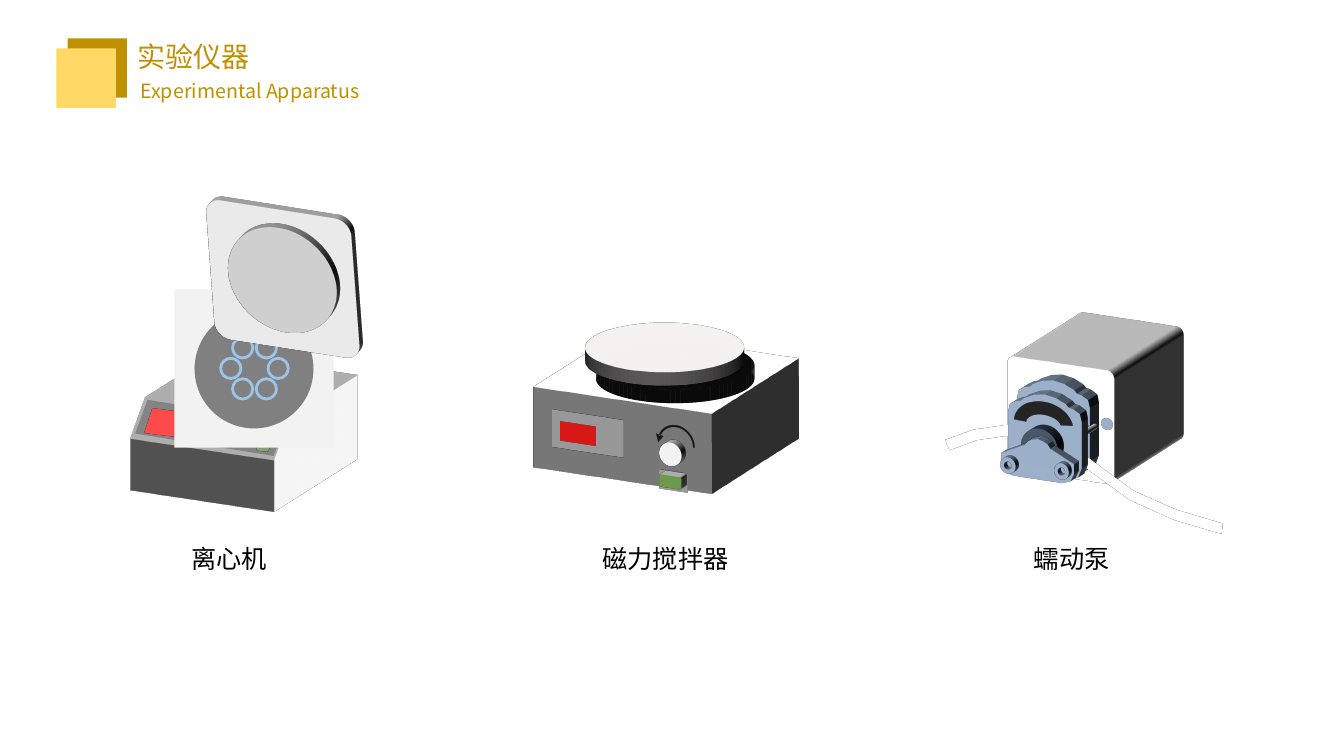
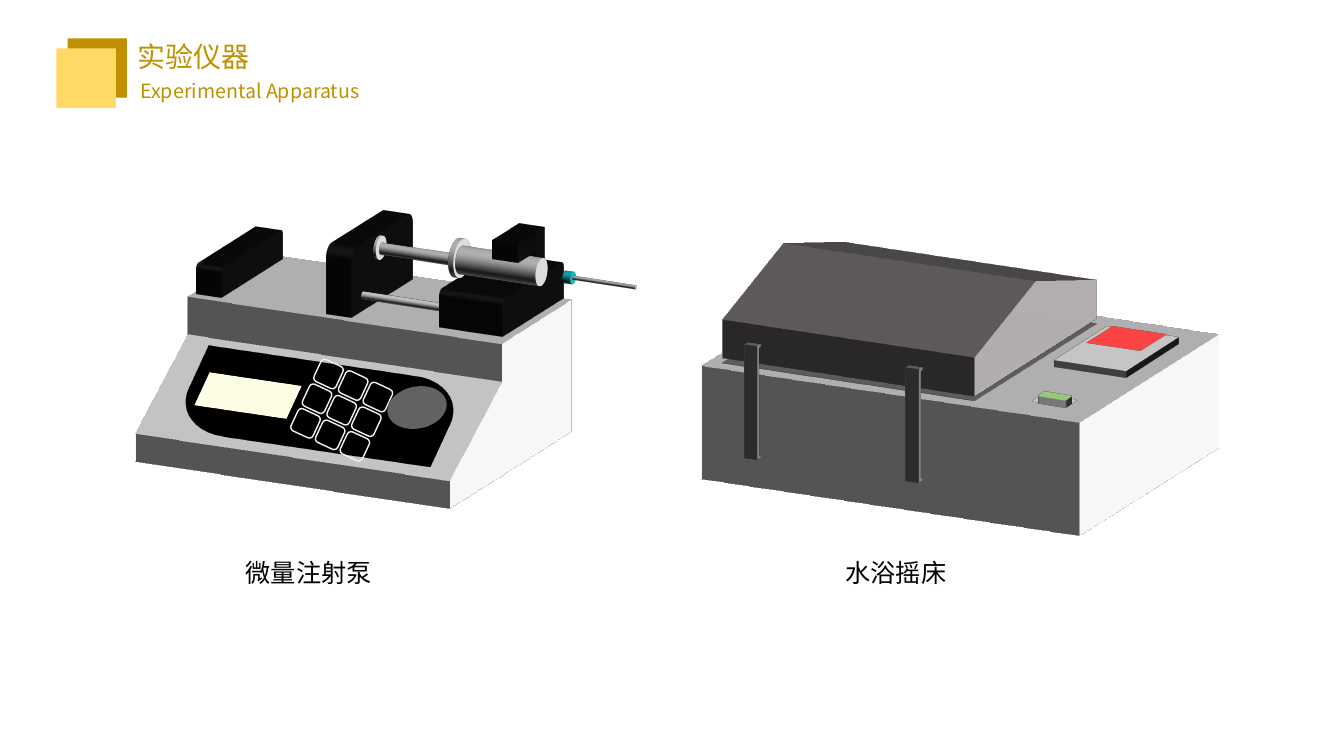
from dataclasses import dataclass
from math import cos, pi, sin
from typing import Any

from lxml.etree import SubElement
from pptx import Presentation
from pptx.dml.color import RGBColor
from pptx.enum.shapes import MSO_SHAPE
from pptx.enum.text import MSO_ANCHOR, MSO_AUTO_SIZE, PP_ALIGN
from pptx.oxml.ns import qn
from pptx.util import Emu, Inches, Pt

# Slide grid: square cells, 100 to the inch
CELL = 9144
WIDTH, HEIGHT = 12192000, 6858000
RECTANGLE, ELLIPSE, ROUNDED = MSO_SHAPE.RECTANGLE, MSO_SHAPE.OVAL, MSO_SHAPE.ROUNDED_RECTANGLE
TAB = MSO_SHAPE.ROUND_2_SAME_RECTANGLE

COLORS = {
    "gold": "BF9000", "yellow": "FFD966", "text": "000000", "white": "FFFFFF",
    "paper": "F2F2F2", "light": "D9D9D9", "silver": "BFBFBF", "needle": "D0CECE",
    "metal": "AFABAB", "lid side": "767171", "panel": "848484", "gray": "808080",
    "coal": "262626", "black": "0D0D0D", "red": "C00000", "display": "C70000",
    "green": "548235", "forest": "385723", "lime": "A9D18E", "button": "5B9BD5",
    "blue": "8497B0", "navy": "333F50", "sky": "9DC3E6", "cyan": "09BEC7",
}

# Views: a preset camera, with latitude, longitude and revolution if turned by hand
FRONT = ("isometricOffAxis2Left", None)
SIDE = ("isometricOffAxis2Right", None)
TOP = ("isometricOffAxis2Top", None)
OPEN_LID = ("orthographicFront", (28.7, 26, 4.25))
DESK = ("orthographicFront", (337, 26, 342))
KEYBOARD = ("orthographicFront", (320, 25, 335))


def color_of(name):
    return RGBColor.from_string(COLORS[name])


def paint(shape, fill=None, line=None, weight=1):
    shape.shadow.inherit = False
    if fill is None:
        shape.fill.background()
    else:
        shape.fill.solid()
        shape.fill.fore_color.rgb = color_of(fill)
    if line is None:
        shape.line.fill.background()
    else:
        shape.line.color.rgb = color_of(line)
        shape.line.width = Pt(weight)
    return shape


def turn(shape, view, depth=0, lift=0, side=None):
    """Show a shape in a 3D view; depth and lift are in points."""
    properties = shape._element.spPr
    preset, angles = view
    scene = SubElement(properties, qn("a:scene3d"))
    camera = SubElement(scene, qn("a:camera"), prst=preset)
    if angles:
        names = ("lat", "lon", "rev")
        SubElement(camera, qn("a:rot"),
                   {name: str(round(angle * 60000)) for name, angle in zip(names, angles)})
    SubElement(scene, qn("a:lightRig"), rig="threePt", dir="t")
    solid = SubElement(properties, qn("a:sp3d"), z=str(Pt(lift)), extrusionH=str(Pt(depth)))
    if side:
        SubElement(SubElement(solid, qn("a:extrusionClr")), qn("a:srgbClr"), val=COLORS[side])
    return shape


def cast_shadow(shape, blur, distance, angle, opacity):
    effects = shape._element.spPr.find(qn("a:effectLst"))
    shadow = SubElement(effects, qn("a:outerShdw"), blurRad=str(Pt(blur)),
                        dist=str(Pt(distance)), dir=str(angle * 60000))
    tint = SubElement(shadow, qn("a:srgbClr"), val=COLORS["text"])
    SubElement(tint, qn("a:alpha"), val=str(opacity * 1000))


def circle(x, y, radius, steps=24):
    turns = [2 * pi * i / steps for i in range(steps)]
    return [(x + radius * cos(t), y + radius * sin(t)) for t in turns]


def mirrored(center, top, half):
    """A closed outline from its right half, given from the top downwards."""
    right = [(center + x, top + y) for x, y in half]
    left = [(center - x, top + y) for x, y in reversed(half) if x]
    return right + left


@dataclass
class Drawing:
    """A group of shapes, measured in cells from the corner of its box."""
    shapes: Any
    left: int
    top: int

    def place(self, x, y):
        return round((self.left + x) * CELL), round((self.top + y) * CELL)

    def preset(self, kind, x, y, width, height, *style):
        size = [Emu(round(side * CELL)) for side in (width, height)]
        return paint(self.shapes.add_shape(kind, *self.place(x, y), *size), *style)

    def outline(self, contours, *style, close=True):
        builder = None
        for contour in contours:
            points = [self.place(*point) for point in contour]
            if builder is None:
                builder = self.shapes.build_freeform(*points[0], scale=1.0)
            else:
                builder.move_to(*points[0])
            builder.add_line_segments(points[1:], close=close)
        return paint(builder.convert_to_shape(), *style)

    def inner_group(self):
        group = self.shapes.add_group_shape()
        return group, Drawing(group.shapes, self.left, self.top)


def draw_stirrer(drawing):
    # Housing and heating plate
    turn(drawing.preset(RECTANGLE, 18, 5, 197, 197, "paper"), TOP, 60)
    plate = drawing.preset(ELLIPSE, 37, 0, 157, 157, "metal")
    cast_shadow(plate, 9, 15, 60, 80)
    turn(plate, TOP, 10)
    # Controls
    turn(drawing.preset(RECTANGLE, 0, 145, 79, 39, "gray", "coal", 1), FRONT)
    turn(drawing.preset(ELLIPSE, 109, 173, 24, 24, "light"), FRONT, 7)
    arrow = drawing.preset(MSO_SHAPE.ARC, 107, 156, 39, 39, None, "text", 1.5)
    arrow.adjustments[0], arrow.adjustments[1] = 108.135, 0
    SubElement(arrow.line._get_or_add_ln(), qn("a:headEnd"), type="triangle")
    turn(arrow, FRONT)
    turn(drawing.preset(RECTANGLE, 109, 201, 31, 20, "gray"), FRONT)
    turn(drawing.preset(ROUNDED, 109, 206, 24, 12, "green", "paper"), FRONT, 9)
    turn(drawing.preset(RECTANGLE, 10, 154, 39, 20, "red", "paper"), FRONT)


def draw_centrifuge(drawing):
    # Body and control panel
    body = drawing.preset(MSO_SHAPE.SNIP_ROUND_RECTANGLE, 83, 198, 189, 87, "paper")
    body.adjustments[0], body.adjustments[1] = 0, 0.384
    body._element.spPr.xfrm.set("flipH", "1")
    turn(body, SIDE, 114)
    panel = drawing.preset(MSO_SHAPE.PARALLELOGRAM, 0, 209, 146, 35, "panel")
    panel.adjustments[0], panel.rotation = 0.194, 9.2
    turn(drawing.preset(RECTANGLE, 9, 209, 59, 28, "display", "white"), DESK)
    buttons = [(95, 214, "button"), (87, 234, "button"), (104, 225, "button"),
               (77, 221, "button"), (91, 224, "button"), (120, 238, "forest"),
               (125, 225, "red")]
    for x, y, fill in buttons:
        turn(drawing.preset(ROUNDED, x, y, 12, 12, fill, "white"), DESK)
    # Rotor with six tubes
    square = [(37, 89), (195, 89), (195, 246), (37, 246)]
    drawing.outline([circle(116, 167, 59), square], "paper")
    drawing.preset(ELLIPSE, 57, 109, 118, 118, "gray")
    tubes = [circle(x, y, 10, 16) for x, y in circle(116.5, 167.5, 23.5, 6)]
    drawing.outline(tubes, None, "sky", 2)
    # Open lid
    lid = drawing.preset(ROUNDED, 66, 0, 157, 157, "light")
    lid.adjustments[0] = 0.107
    turn(lid, OPEN_LID, 6)
    turn(drawing.preset(ELLIPSE, 85, 21, 118, 118, "silver"), OPEN_LID, 6)


def draw_peristaltic_pump(drawing):
    plate = [(0, 0), (12, 2), (23, 7), (26, 10), (31, 11), (38, 15), (40, 23)]
    foot = [(40, -14), (36, -4), (27, 0)]

    def plate_outline(top, height):
        return mirrored(120, top, plate + [(x, height + y) for x, y in foot])

    # Housing and rear plate
    housing = drawing.preset(ROUNDED, 61, 0, 118, 118, "white")
    housing.adjustments[0] = 0.068
    turn(housing, FRONT, 113, -12)
    turn(drawing.outline([plate_outline(14, 90)], "blue"), FRONT, 15)
    lower = mirrored(120, 61, [(40, 0), (40, 29), (36, 39), (27, 42)])
    turn(drawing.outline([lower], "blue"), FRONT, 15)
    # Tube
    tube = [(0, 100), (31, 85), (63, 76), (92, 71), (120, 76), (160, 100), (203, 123),
            (250, 136), (302, 143)]
    turn(drawing.outline([tube], None, "white", 8, close=False), FRONT)
    # Shaft ends and front plate
    turn(drawing.preset(ELLIPSE, 158, 58, 6, 6, "white"), FRONT, 18, 18)
    turn(drawing.preset(ELLIPSE, 162, 56, 12, 12, "blue"), FRONT, 0, -8)
    turn(drawing.outline([plate_outline(22, 85)], "blue"), FRONT, 10, 14)
    turn(drawing.preset(ELLIPSE, 100, 54, 39, 39, "navy"), FRONT, 10, 22)
    window = drawing.preset(MSO_SHAPE.BLOCK_ARC, 87, 30, 65, 47, "black")
    for index, value in enumerate((108.921, 212.294, 0.284)):
        window.adjustments[index] = value
    turn(window, FRONT, 0, 15)
    # Bracket and screws
    bracket = mirrored(120, 63, [(0, 0), (7, 2), (11, 4), (14, 8), (40, 20), (40, 30),
                                 (36, 38), (27, 41)])
    turn(drawing.outline([bracket], "blue"), FRONT, 8, 26)
    for x, y in ((67, 92), (120, 98)):
        turn(drawing.preset(MSO_SHAPE.DONUT, x, y, 16, 16, "blue"), FRONT, 5)


def draw_syringe_pump(drawing):
    def solid(kind, x, y, width, height, fill, depth):
        shape = drawing.preset(kind, x, y, width, height, fill)
        if kind == TAB and width < 100:
            shape.adjustments[0] = 0
        turn(shape, SIDE, depth)

    # Housing between the holders, from back to front
    solid(TAB, 347, 0, 20, 39, "black", 20)
    housing = [(308, 106), (466, 106), (466, 145), (466, 243), (190, 243), (190, 214),
               (310, 145), (308, 145)]
    turn(drawing.outline([housing], "paper"), SIDE, 250)
    # Holders, rods and syringe
    solid(TAB, 2, 19, 138, 31, "black", 20)
    solid(TAB, 131, 0, 138, 71, "black", 20)
    solid(ELLIPSE, 277, 77, 8, 8, "paper", 80)
    solid(TAB, 281, 50, 138, 39, "black", 50)
    solid(ELLIPSE, 187, 7, 24, 24, "light", 2)
    solid(ELLIPSE, 269, 25, 12, 12, "light", 60)
    solid(ELLIPSE, 260, 10, 39, 39, "light", 4)
    solid(ELLIPSE, 344, 29, 28, 28, "light", 63)
    solid(TAB, 324, 9, 39, 20, "black", 20)
    solid(ELLIPSE, 383, 43, 12, 12, "cyan", 6)
    solid(ELLIPSE, 450, 56, 4, 4, "needle", 50)
    # Control panel with display, keys and knob
    panel = drawing.preset(MSO_SHAPE.ROUND_2_DIAG_RECTANGLE, 0, 117, 276, 118, "text")
    panel.adjustments[0], panel.adjustments[1] = 0.483, 0
    panel._element.spPr.xfrm.set("flipV", "1")
    turn(panel, KEYBOARD)
    turn(drawing.preset(RECTANGLE, 18, 142, 98, 47, "lime"), KEYBOARD)
    group, keys = drawing.inner_group()
    for row in range(3):
        for column in range(3):
            keys.preset(ROUNDED, 121 + 27 * column, 141 + 27 * row, 24, 24, None, "paper")
    group.rotation = 25
    turn(drawing.preset(ELLIPSE, 205, 148, 59, 59, "black"), KEYBOARD)


def draw_shaker(drawing):
    # Bath with display and switch
    turn(drawing.preset(RECTANGLE, 233, 96, 315, 118, "paper"), SIDE, 300)
    turn(drawing.preset(RECTANGLE, 319, 10, 79, 118, "gray"), TOP, 5)
    turn(drawing.preset(RECTANGLE, 339, 34, 59, 59, "red", "paper"), TOP, 0, 3.5)
    turn(drawing.preset(ROUNDED, 278, 108, 39, 24, "gray"), TOP)
    turn(drawing.preset(ROUNDED, 282, 108, 31, 16, "green", "paper"), TOP, 5)
    # Lid and the gap below it
    turn(drawing.preset(RECTANGLE, 140, 82, 276, 0.4, "gray"), SIDE, 200)
    lid = [(278, 0), (416, 39), (416, 79), (140, 79), (140, 39)]
    turn(drawing.outline([lid], "metal"), SIDE, 200, 0, "lid side")
    # Clips
    clip = [(0, 0), (8, 0), (8, 3), (4, 3), (4, 115), (8, 115), (8, 118), (0, 118)]
    for left, top in ((160, 86), (0, 63)):
        points = [(left + x, top + y) for x, y in clip]
        turn(drawing.outline([points], "gray"), SIDE, 10)


def write(text_frame, text, font, size, color):
    paragraph = text_frame.paragraphs[0]
    paragraph.alignment = PP_ALIGN.LEFT
    run = paragraph.add_run()
    run.text = text
    run.font.name, run.font.size = font, Pt(size)
    run.font.color.rgb = color_of(color)


def add_header(slide, title, subtitle):
    badge = Drawing(slide.shapes.add_group_shape().shapes, 56, 38)
    for x, y, fill in ((11, 0, "gold"), (0, 10, "yellow")):
        badge.preset(RECTANGLE, x, y, 59, 59, fill)
    heading = slide.shapes.title
    heading.left, heading.top = Inches(1.26), Inches(0.34)
    heading.width, heading.height = Inches(3.8), Inches(0.44)
    heading.text_frame.auto_size = MSO_AUTO_SIZE.NONE
    heading.text_frame.vertical_anchor = MSO_ANCHOR.TOP
    write(heading.text_frame, title, "Arial", 20, "gold")
    label = slide.shapes.add_textbox(Inches(1.25), Inches(0.73), Inches(2.58), Inches(0.34))
    label.text_frame.word_wrap = True
    write(label.text_frame, subtitle, "Noto Sans CJK SC", 14, "gold")


def add_caption(slide, text, left, top):
    width = 0.25 * len(text) + 0.21
    box = slide.shapes.add_textbox(Inches(left), Inches(top), Inches(width), Inches(0.4))
    box.text_frame.word_wrap = False
    write(box.text_frame, text, "Calibri", 18, "text")


def add_apparatus_slide(presentation, caption_top, items):
    slide = presentation.slides.add_slide(presentation.slide_layouts[5])
    for draw, left, top, caption, caption_left in items:
        draw(Drawing(slide.shapes.add_group_shape().shapes, left, top))
        add_caption(slide, caption, caption_left, caption_top)
    add_header(slide, "实验仪器", " Experimental Apparatus")


def main():
    presentation = Presentation()
    presentation.slide_width, presentation.slide_height = Emu(WIDTH), Emu(HEIGHT)
    add_apparatus_slide(presentation, 5.34, [
        (draw_stirrer, 544, 266, "磁力搅拌器", 5.88),
        (draw_centrifuge, 136, 198, "离心机", 1.8),
        (draw_peristaltic_pump, 925, 362, "蠕动泵", 10.16)])
    add_apparatus_slide(presentation, 5.48, [
        (draw_syringe_pump, 179, 227, "微量注射泵", 2.34),
        (draw_shaker, 749, 277, "水浴摇床", 8.29)])
    presentation.save("out.pptx")


if __name__ == "__main__":
    main()
